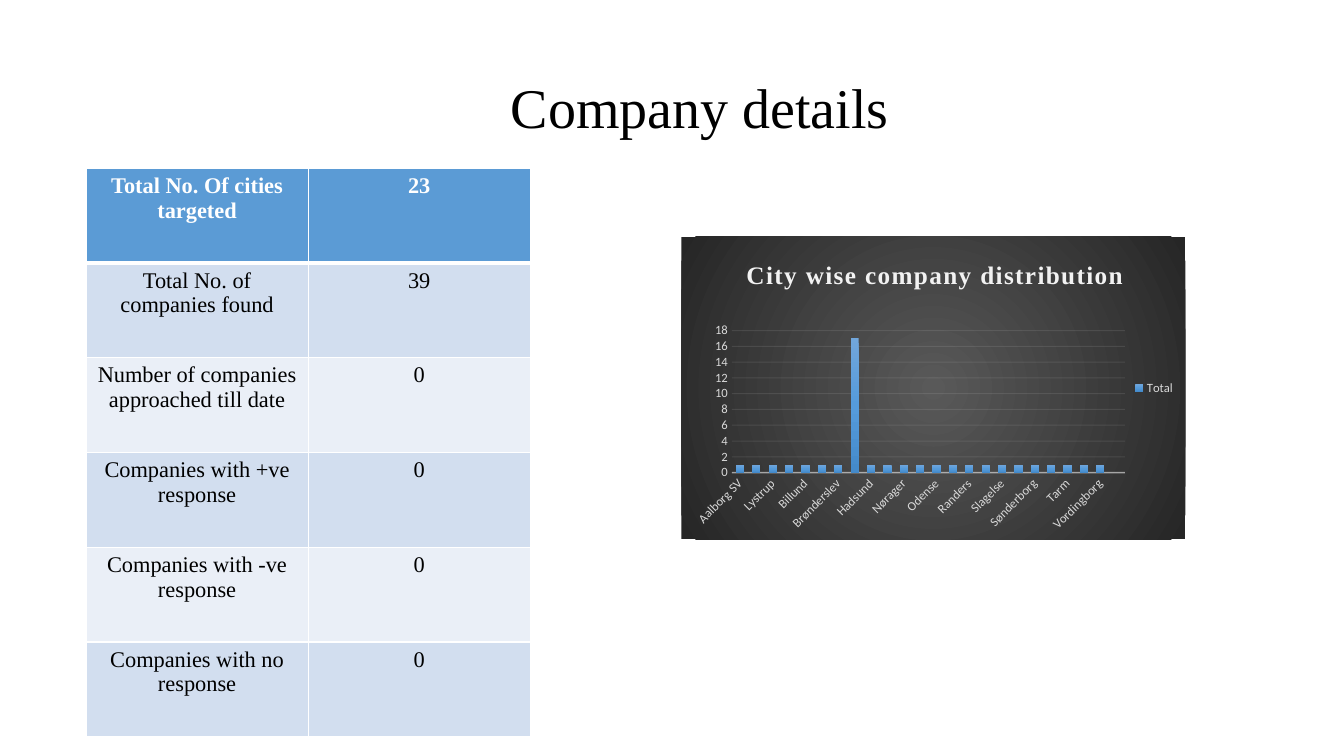
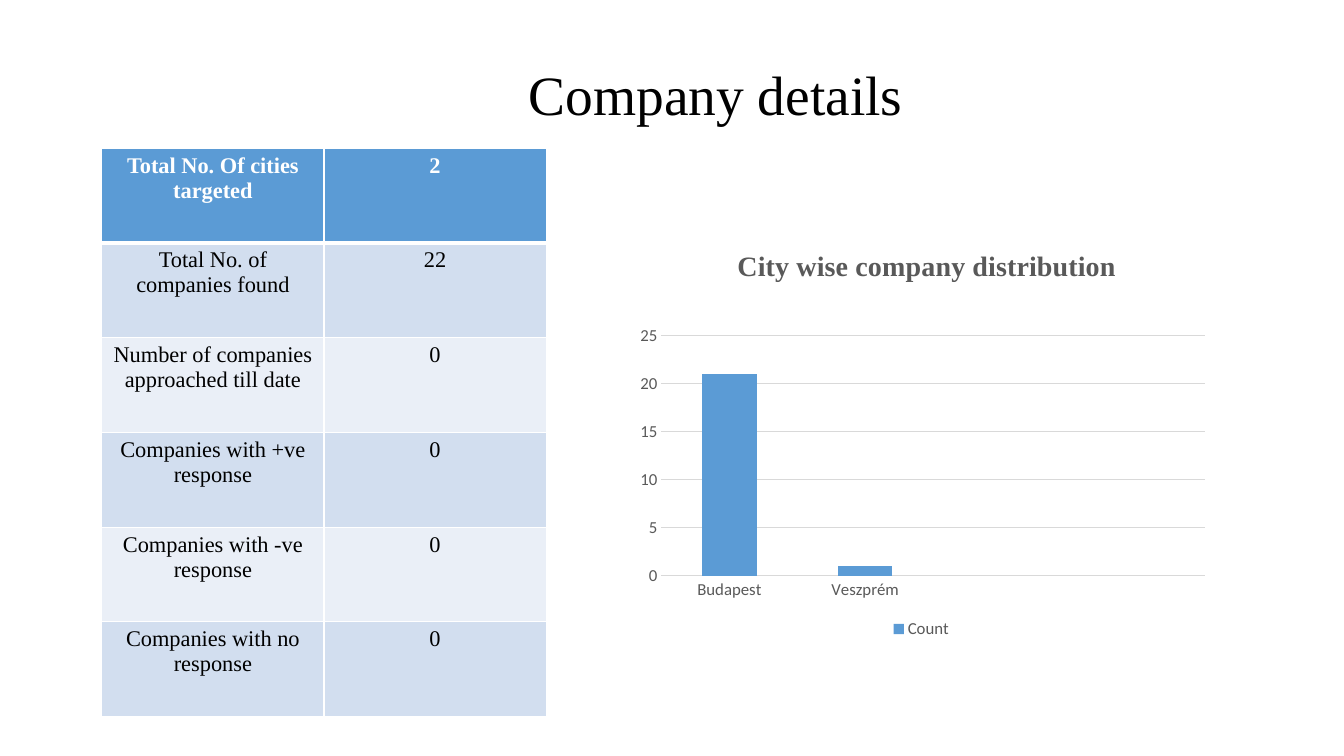
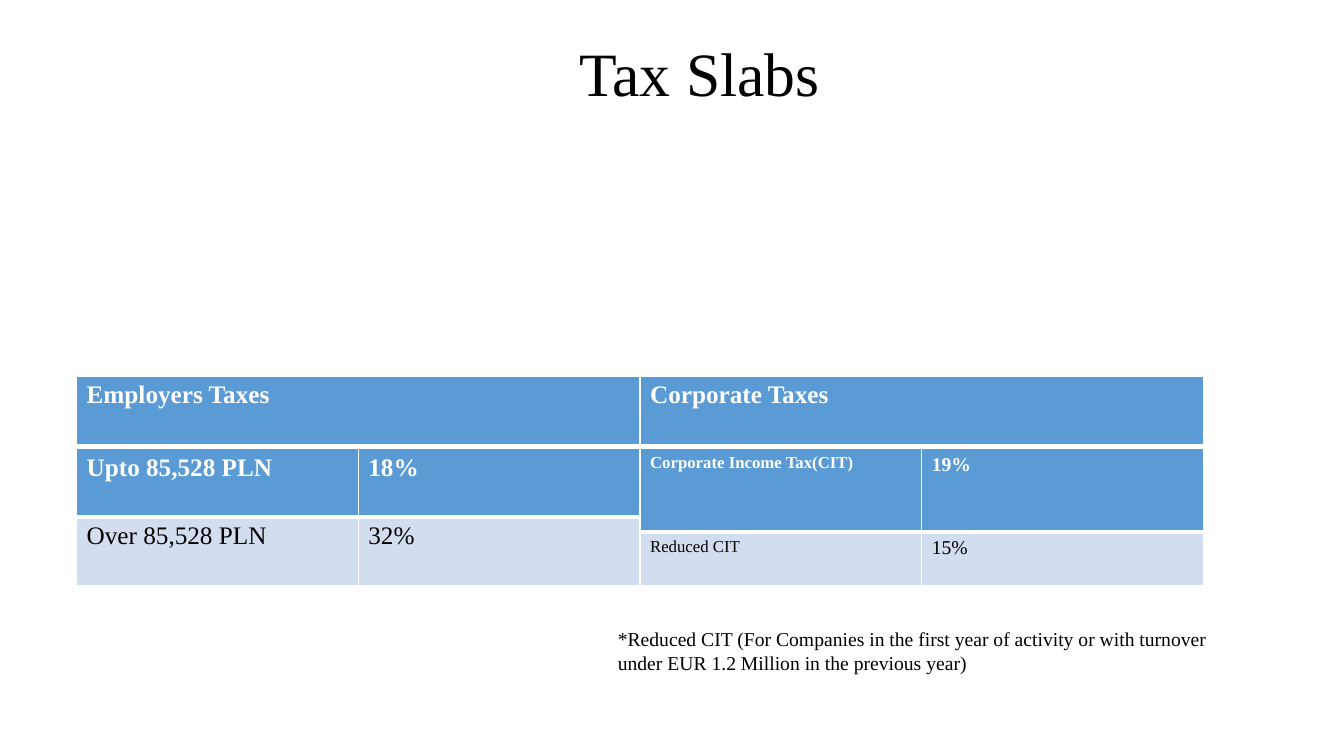
import pptx
import pptx.chart.data
import pptx.dml.color
import pptx.enum.chart
import pptx.enum.text
import pptx.oxml
import pptx.oxml.ns
import pptx.util

# Shared look
SERIF, SANS = "Times New Roman", "Calibri"
BLACK, WHITE, GREY = "000000", "FFFFFF", "595959"
BLUE, BAND_DARK, BAND_LIGHT = "5B9BD5", "D2DEEF", "EAEFF7"
WIDTH, HEIGHT = pptx.util.Inches(13.33), pptx.util.Inches(7.5)
TITLE_LEFT, TITLE_WIDTH = 8.93, 86.25

CHART_TITLE = "City wise company distribution"
LABELS = ["Total No. Of cities targeted", "Total No. of companies found",
          "Number of companies approached till date", "Companies with +ve response",
          "Companies with -ve response", "Companies with no response"]
CITIES = ["Aalborg SV", "Hornsyld", "Lystrup", "Aarup", "Billund", "Birkerød",
          "Brønderslev", "COPENHAGEN", "Hadsund", "Herlufmagle", "Nørager",
          "Nordborg", "Odense", "Pandrup", "Randers", "Risskov", "Slagelse",
          "Smørum", "Sønderborg", "Sorø", "Tarm", "Vejle", "Vordingborg", "(blank)"]
CITY_COUNTS = [1] * 7 + [17] + [1] * 15 + [None]

qn = pptx.oxml.ns.qn


def rgb(color):
    return pptx.dml.color.RGBColor.from_string(color)


def box(x, y, w, h):
    """Percentages of the slide's width and height as lengths."""
    return (int(WIDTH * x / 100), int(HEIGHT * y / 100),
            int(WIDTH * w / 100), int(HEIGHT * h / 100))


def xml(text):
    tag_end = min(i for i in (text.find(" "), text.find(">"), text.find("/>")) if i > 0)
    return pptx.oxml.parse_xml(
        text[:tag_end] + " " + pptx.oxml.ns.nsdecls("a", "c") + text[tag_end:])


def set_font(font, size, color, name=SERIF, bold=False):
    font.name, font.size, font.bold = name, pptx.util.Pt(size), bold
    font.color.rgb = rgb(color)


def add_run(p, text, size, color, bold=False):
    r = p.add_run()
    r.text = text
    set_font(r.font, size, color, bold=bold)
    return r


def add_slide(prs, title, size, y, h, x=TITLE_LEFT):
    s = prs.slides.add_slide(prs.slide_layouts[5])
    sp = s.shapes.title
    sp.left, sp.top, sp.width, sp.height = box(x, y, TITLE_WIDTH, h)
    tf = sp.text_frame
    tf.word_wrap = True
    tf.auto_size = pptx.enum.text.MSO_AUTO_SIZE.NONE
    tf.vertical_anchor = pptx.enum.text.MSO_ANCHOR.MIDDLE
    p = tf.paragraphs[0]
    p.alignment = pptx.enum.text.PP_ALIGN.CENTER
    p.line_spacing = 0.9
    add_run(p, title, size, BLACK)
    return s


# Tables
def set_borders(cell, bottom):
    """White cell borders; they stand ahead of the fill."""
    tc_pr = cell._tc.get_or_add_tcPr()
    for i, side in enumerate("LRTB"):
        width = pptx.util.Pt(bottom if side == "B" else 1)
        tc_pr.insert(i, xml(f'<a:ln{side} w="{width}"><a:solidFill><a:srgbClr val="{WHITE}"/>'
                            f'</a:solidFill></a:ln{side}>'))


def add_table(s, area, rows, sizes, row_shares=None, centred=False):
    """Table with a blue header; sizes holds one text size per column."""
    x, y, w, h = box(*area)
    n = len(rows)
    table = s.shapes.add_table(n, len(sizes), x, y, w, h).table
    for i, row in enumerate(rows):
        table.rows[i].height = int(h * (row_shares[i] if row_shares else 1 / n))
        header = i == 0
        fill = BLUE if header else BAND_DARK if i % 2 else BAND_LIGHT
        for j, text in enumerate(row):
            cell = table.cell(i, j)
            cell.fill.solid()
            cell.fill.fore_color.rgb = rgb(fill)
            set_borders(cell, 3 if header else 1)
            p = cell.text_frame.paragraphs[0]
            if centred:
                p.alignment = pptx.enum.text.PP_ALIGN.CENTER
            if text:
                add_run(p, text, sizes[j], WHITE if header else BLACK, header)


def add_company_table(s, x, y, cities, companies):
    values = [cities, companies, "0", "0", "0", "0"]
    add_table(s, (x, y, 33.06, 75.2), list(zip(LABELS, values)), (16, 16), centred=True)


# Charts
def gradient(stops, direction):
    marks = "".join(f'<a:gs pos="{pos * 1000}"><a:srgbClr val="{color}"/></a:gs>'
                    for pos, color in stops)
    return xml(f'<a:gradFill><a:gsLst>{marks}</a:gsLst>{direction}</a:gradFill>')


def set_line(line, color, width, opacity=100):
    line.color.rgb = rgb(color)
    line.width = pptx.util.Pt(width)
    if opacity < 100:
        clr = line._get_or_add_ln().find(".//" + qn("a:srgbClr"))
        clr.append(xml(f'<a:alpha val="{opacity * 1000}"/>'))


def set_layout(parent, index, **shares):
    """Fixed place inside the chart, as shares of its size."""
    for old in parent.findall(qn("c:layout")):
        parent.remove(old)
    target = '<c:layoutTarget val="inner"/>' if "w" in shares else ""
    modes = '<c:xMode val="edge"/><c:yMode val="edge"/>'
    values = "".join(f'<c:{k} val="{v}"/>' for k, v in shares.items())
    parent.insert(index, xml(f'<c:layout><c:manualLayout>{target}{modes}{values}'
                             f'</c:manualLayout></c:layout>'))


def add_column_chart(s, area, name, cats, vals, title_size, title_color, title_at, plot_at,
                     label_size, label_color, legend, gap, top, step, grid):
    data = pptx.chart.data.CategoryChartData()
    data.categories = cats
    data.add_series(name, vals)
    kind = pptx.enum.chart.XL_CHART_TYPE.COLUMN_CLUSTERED
    chart = s.shapes.add_chart(kind, *box(*area), data).chart
    set_font(chart.font, 10, BLACK, SANS)

    chart.has_title = True
    p = chart.chart_title.text_frame.paragraphs[0]
    add_run(p, CHART_TITLE, title_size, title_color, True)
    set_layout(chart.chart_title._element, 1, x=title_at[0], y=title_at[1])
    plot_area = chart._chartSpace.find(".//" + qn("c:plotArea"))
    set_layout(plot_area, 0, **dict(zip("xywh", plot_at)))

    chart.has_legend = True
    chart.legend.position = legend
    chart.legend.include_in_layout = False
    set_font(chart.legend.font, label_size, label_color, SANS)

    for axis in (chart.category_axis, chart.value_axis):
        axis.major_tick_mark = pptx.enum.chart.XL_TICK_MARK.NONE
        axis.format.line.fill.background()
        set_font(axis.tick_labels.font, label_size, label_color, SANS)
    axis = chart.value_axis
    axis.minimum_scale, axis.maximum_scale, axis.major_unit = 0, top, step
    axis.has_major_gridlines = True
    set_line(axis.major_gridlines.format.line, *grid)

    plot = chart.plots[0]
    plot.gap_width, plot.vary_by_categories = gap, False
    series = plot.series[0]
    series.format.fill.solid()
    series.format.fill.fore_color.rgb = rgb(BLUE)
    return chart


def darken_chart(chart):
    """Dark radial background, gradient columns and slanted labels."""
    area = xml("<c:spPr></c:spPr>")
    area.append(gradient([(0, GREY), (100, "262626")],
                         '<a:path path="circle"><a:fillToRect l="50000" t="50000" '
                         'r="50000" b="50000"/></a:path>'))
    area.append(xml("<a:ln><a:noFill/></a:ln>"))
    chart._chartSpace.find(qn("c:txPr")).addprevious(area)

    plot = chart.plots[0]
    plot.overlap = -24
    sp_pr = plot.series[0]._element.find(qn("c:spPr"))
    sp_pr.replace(sp_pr.find(qn("a:solidFill")),
                  gradient([(0, "71A6DB"), (50, "559BDB"), (100, "448ACA")],
                           '<a:lin ang="5400000" scaled="0"/>'))

    axis = chart.category_axis
    set_line(axis.format.line, "F2F2F2", 1, 54)
    axis._element.find(qn("c:txPr")).find(qn("a:bodyPr")).set("rot", "-2700000")
    r = chart.chart_title.text_frame.paragraphs[0].runs[0]
    r.font._element.set("spc", "100")


def add_note(s, area, text):
    tf = s.shapes.add_textbox(*box(*area)).text_frame
    tf.word_wrap = True
    add_run(tf.paragraphs[0], text, 14, BLACK)


def main():
    prs = pptx.Presentation()
    prs.slide_width, prs.slide_height = WIDTH, HEIGHT
    position = pptx.enum.chart.XL_LEGEND_POSITION

    # Company details: 23 cities
    s = add_slide(prs, "Company details", 40, 4.93, 19.33)
    chart = add_column_chart(
        s, (50.7, 31.33, 37.5, 40), "Total", CITIES, CITY_COUNTS,
        title_size=18, title_color="F2F2F2", title_at=(0.12, 0.06),
        plot_at=(0.1, 0.31, 0.78, 0.47), label_size=9, label_color="D9D9D9",
        legend=position.RIGHT, gap=100, top=18, step=2, grid=("F2F2F2", 0.75, 10))
    darken_chart(chart)
    add_company_table(s, 6.4, 22.27, "23", "39")

    # Company details: two cities
    s = add_slide(prs, "Company details", 39.6, 8.8, 8.27, x=10.13)
    add_column_chart(
        s, (46.58, 29.33, 43.95, 55.73), "Count", ["Budapest", "Veszprém", "", ""],
        [21, 1, None, None], title_size=20, title_color=GREY, title_at=(0.18, 0.05),
        plot_at=(0.06, 0.27, 0.92, 0.57), label_size=12, label_color=GREY,
        legend=position.BOTTOM, gap=150, top=25, step=5, grid=("D9D9D9", 0.75))
    add_company_table(s, 7.58, 19.6, "2", "22")

    # Tax slabs: an outer table with one table laid over each half
    s = add_slide(prs, "Tax Slabs", 44, 4.93, 10.4)
    left, half, top, height = 5.7, 41.92, 59.33, 18.13
    add_table(s, (left, 49.73, 2 * half, 27.73),
              [("Employers Taxes", "Corporate Taxes"), ("", ""), ("", "")], (18, 18))
    add_table(s, (left, top, half, height),
              [("Upto 85,528 PLN", "18%"), ("Over 85,528 PLN", "32%")], (18, 18))
    add_table(s, (left + half, top, half, height),
              [("Corporate Income Tax(CIT)", "19%"), ("Reduced CIT", "15%")],
              (12, 14), row_shares=(0.61, 0.39))
    add_note(s, (45.23, 82.27, 46.65, 7.6),
             "*Reduced CIT (For Companies in the first year of activity or with turnover "
             "under EUR 1.2 Million in the previous year)")

    prs.save("out.pptx")


if __name__ == "__main__":
    main()
